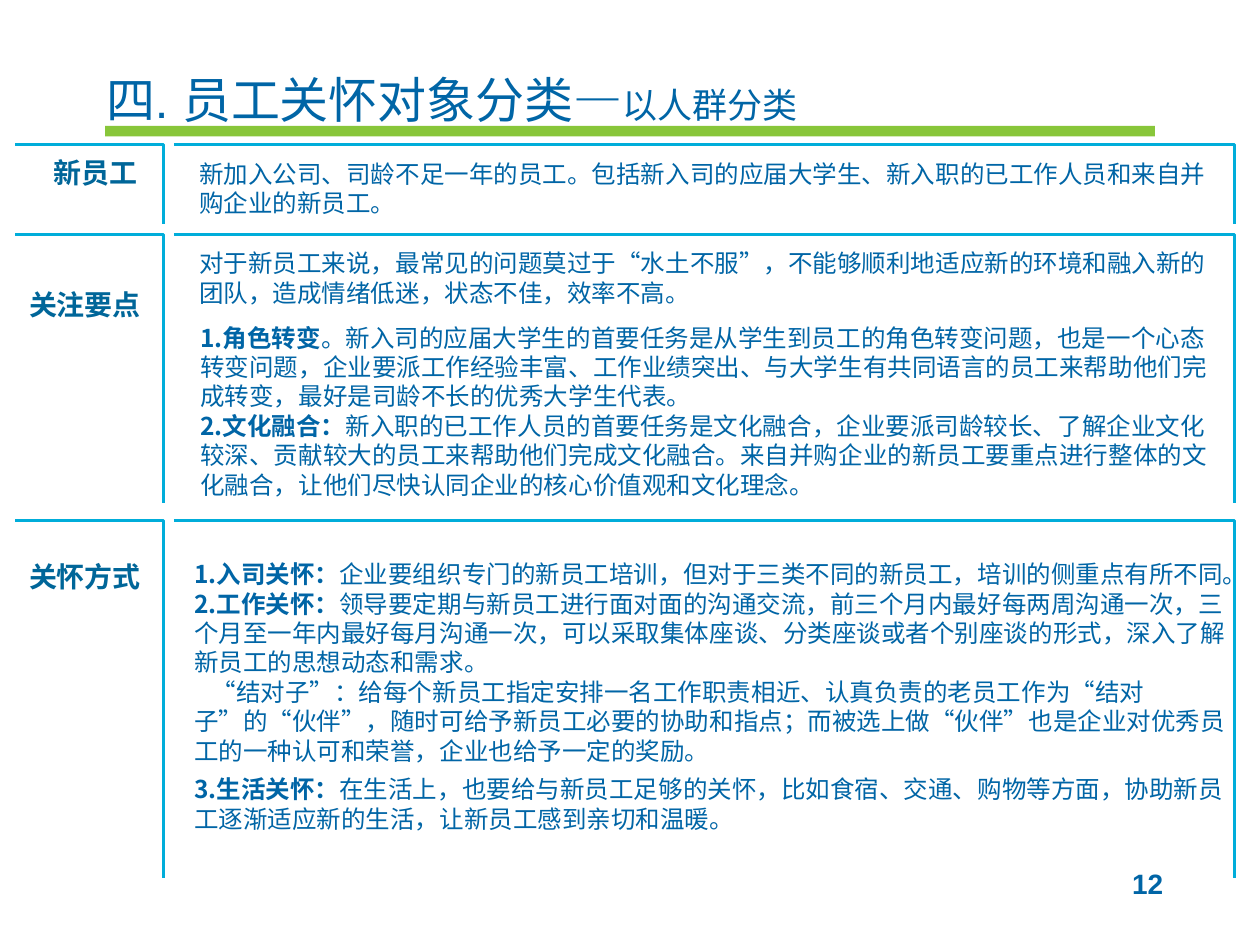
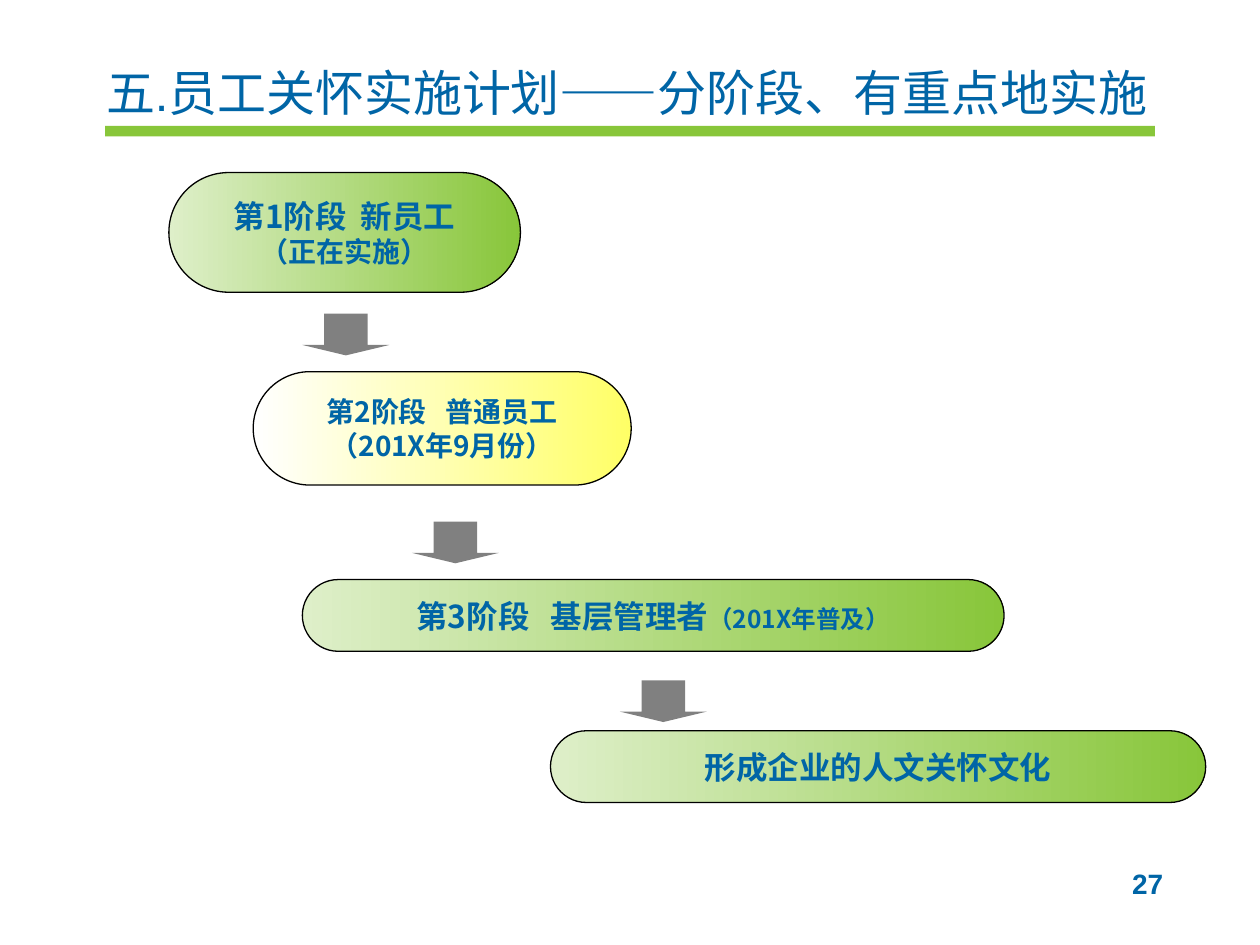
from pptx import Presentation
from pptx import util as u
from pptx.dml.color import RGBColor
from pptx.enum import shapes, text
from pptx.oxml.ns import qn
from lxml import etree

Pt = u.Pt
BLUE, LABEL_BLUE, CYAN = "0065A6", "006699", "00ADDA"
GREEN, PALE_GREEN, YELLOW, WHITE = "88C63A", "DEEFC9", "FFFF66", "FFFFFF"
GREY, BLACK = "808080", "000000"
CJK = "Noto Sans CJK SC"
LEFT, CENTER, RIGHT = text.PP_ALIGN.LEFT, text.PP_ALIGN.CENTER, text.PP_ALIGN.RIGHT
TOP, MIDDLE = text.MSO_ANCHOR.TOP, text.MSO_ANCHOR.MIDDLE


def rgb(value):
    return RGBColor.from_string(value)


def run(words, size=14, bold=False, font=CJK, color=BLUE, spacing=0):
    """Describe one run; spacing is extra letter spacing in points."""
    return dict(words=words, size=size, bold=bold, font=font, color=color, spacing=spacing)


def para(*runs, before=0, indent=0):
    return dict(runs=runs, before=before, indent=indent)


def item(heading, body, before=0):
    return para(run(heading, bold=True), run(body), before=before)


class Deck:
    """Holds the shared style and the slide being drawn."""

    def __init__(self):
        self.presentation = Presentation()
        self.presentation.slide_width = Pt(720)
        self.presentation.slide_height = Pt(540)
        self.slide = None

    def new_slide(self, title_runs, title_top, number):
        self.slide = self.presentation.slides.add_slide(self.presentation.slide_layouts[6])
        band = self.shape(shapes.MSO_SHAPE.RECTANGLE, 60, 72, 600, 6)
        self.solid(band, GREEN)
        self.text_box([para(*title_runs)], 60.6, title_top, 640, 49.7)
        self.text_box([para(run(number, 16, True, "Arial"))], 511, 495.4, 153.6, 20, RIGHT, TOP)

    def shape(self, kind, left, top, width, height):
        shape = self.slide.shapes.add_shape(kind, Pt(left), Pt(top), Pt(width), Pt(height))
        shape.shadow.inherit = False
        return shape

    def solid(self, shape, color):
        shape.fill.solid()
        shape.fill.fore_color.rgb = rgb(color)
        shape.line.fill.background()

    def add_text(self, frame, paragraphs, align, anchor):
        frame.word_wrap = True
        frame.vertical_anchor = anchor
        for index, content in enumerate(paragraphs):
            paragraph = frame.add_paragraph() if index else frame.paragraphs[0]
            paragraph.alignment = align
            paragraph.space_before = Pt(content["before"])
            if content["indent"]:
                paragraph._p.get_or_add_pPr().set("indent", str(Pt(content["indent"])))
            for part in content["runs"]:
                self.add_run(paragraph, part)

    def add_run(self, paragraph, part):
        piece = paragraph.add_run()
        piece.text = part["words"]
        font = piece.font
        font.size, font.bold, font.name = Pt(part["size"]), part["bold"], part["font"]
        font.color.rgb = rgb(part["color"])
        properties = piece._r.get_or_add_rPr()
        east_asian = etree.SubElement(properties, qn("a:ea"))
        east_asian.set("typeface", CJK)
        if part["spacing"]:
            properties.set("spc", str(round(part["spacing"] * 100)))

    def text_box(self, paragraphs, left, top, width, height, align=LEFT, anchor=MIDDLE):
        box = self.slide.shapes.add_textbox(Pt(left), Pt(top), Pt(width), Pt(height))
        frame = box.text_frame
        frame.margin_left = frame.margin_right = frame.margin_top = frame.margin_bottom = 0
        self.add_text(frame, paragraphs, align, anchor)

    def bracket(self, left, right, top, bottom):
        """Draw an open corner: along the top, then down the right side."""
        builder = self.slide.shapes.build_freeform(Pt(left), Pt(top))
        builder.add_line_segments([(Pt(right), Pt(top)), (Pt(right), Pt(bottom))], close=False)
        corner = builder.convert_to_shape()
        corner.shadow.inherit = False
        corner.fill.background()
        corner.line.color.rgb = rgb(CYAN)
        corner.line.width = Pt(1.75)

    def label(self, words, top, align=LEFT):
        label_run = run(words, 16, True, color=LABEL_BLUE)
        self.text_box([para(label_run)], 16.6, top, 75.6, 19.4, align)

    def pill(self, paragraphs, left, top, width, height, colors=(PALE_GREEN, GREEN)):
        pill = self.shape(shapes.MSO_SHAPE.ROUNDED_RECTANGLE, left, top, width, height)
        pill.adjustments[0] = 0.5
        pill.fill.gradient()
        pill.fill.gradient_angle = 0
        for stop, color, position in zip(pill.fill.gradient_stops, colors, (0, 1)):
            stop.color.rgb = rgb(color)
            stop.position = position
        pill.line.color.rgb = rgb(BLACK)
        pill.line.width = Pt(0.75)
        self.add_text(pill.text_frame, paragraphs, CENTER, MIDDLE)

    def down_arrow(self, left, top):
        arrow = self.shape(shapes.MSO_SHAPE.DOWN_ARROW, left, top, 49.7, 23.8)
        arrow.adjustments[0], arrow.adjustments[1] = 0.5, 0.25
        self.solid(arrow, GREY)


def new_employee_slide(deck):
    deck.new_slide([run("四. 员工关怀对象分类—", 28, font="Arial"),
                    run("以人群分类", 20, font="Arial")], 31.7, "12")
    for top, bottom in ((82.8, 128.2), (133.9, 287.3), (297.4, 501.8)):
        deck.bracket(8.6, 93.6, top, bottom)
        deck.bracket(99.4, 705.6, top, bottom)
    deck.label("新员工", 88.6, CENTER)
    deck.label("关注要点", 164.2)
    deck.label("关怀方式", 319.7)

    definition = [para(run("新加入公司、司龄不足一年的员工。包括新入司的应届大学生、新入职的已工作人员"
                           "和来自并购企业的新员工。"))]
    problem = [para(run("对于新员工来说，最常见的问题莫过于“水土不服”，不能够顺利地适应新的环境和"
                        "融入新的团队，造成情绪低迷，状态不佳，效率不高。"))]
    focus = [
        item("1.角色转变", "。新入司的应届大学生的首要任务是从学生到员工的角色转变问题，也是一个"
             "心态转变问题，企业要派工作经验丰富、工作业绩突出、与大学生有共同语言的员工来帮助他们"
             "完成转变，最好是司龄不长的优秀大学生代表。"),
        item("2.文化融合：", "新入职的已工作人员的首要任务是文化融合，企业要派司龄较长、了解企业"
             "文化较深、贡献较大的员工来帮助他们完成文化融合。来自并购企业的新员工要重点进行整体的"
             "文化融合，让他们尽快认同企业的核心价值观和文化理念。"),
    ]
    care = [
        item("1.入司关怀：", "企业要组织专门的新员工培训，但对于三类不同的新员工，培训的侧重点"
             "有所不同。"),
        item("2.工作关怀：", "领导要定期与新员工进行面对面的沟通交流，前三个月内最好每两周沟通"
             "一次，三个月至一年内最好每月沟通一次，可以采取集体座谈、分类座谈或者个别座谈的形式，"
             "深入了解新员工的思想动态和需求。"),
        para(run("“结对子”：给每个新员工指定安排一名工作职责相近、认真负责的老员工作为“结对子”的"
                 "“伙伴”，随时可给予新员工必要的协助和指点；而被选上做“伙伴”也是企业对优秀员工的"
                 "一种认可和荣誉，企业也给予一定的奖励。"), indent=10),
        item("3.生活关怀：", "在生活上，也要给与新员工足够的关怀，比如食宿、交通、购物等方面，"
             "协助新员工逐渐适应新的生活，让新员工感到亲切和温暖。", before=5.2),
    ]
    deck.text_box(definition, 113.8, 90.7, 586.8, 33.8)
    deck.text_box(problem, 113.8, 141.8, 586.8, 33.8)
    deck.text_box(focus, 114.5, 184.3, 584.6, 100.8)
    deck.text_box(care, 110.9, 311, 589.7, 173.5)


def stage_runs(stage, group, size, gap):
    """Stage and group in bold, kept apart by one widened space."""
    return (run(stage, size, True), run(" ", size, True, spacing=gap), run(group, size, True))


def plan_slide(deck):
    deck.new_slide([run("五.员工关怀实施计划——分阶段、有重点地实施", 28, font="Arial")], 27.4, "27")
    deck.pill([para(*stage_runs("第1阶段", "新员工", 18, 4)),
               para(run("（正在实施）", 16, True))], 96.5, 98.6, 200.9, 68.4)
    deck.pill([para(*stage_runs("第2阶段", "普通员工", 16, 7.2)),
               para(run("（201X年9月份）", 16, True))], 144.7, 212.4, 216, 64.8, (WHITE, YELLOW))
    deck.pill([para(*stage_runs("第3阶段", "基层管理者", 18, 8),
                    run("（201X年普及）", 14, True))], 172.8, 331.2, 401, 41)
    deck.pill([para(run("形成企业的人文关怀文化", 18, True, "DejaVu Sans"))],
              314.6, 417.6, 374.4, 41)
    for left, top in ((172.8, 179.3), (235.4, 298.1), (354.2, 388.8)):
        deck.down_arrow(left, top)


def main():
    deck = Deck()
    new_employee_slide(deck)
    plan_slide(deck)
    deck.presentation.save("out.pptx")


if __name__ == "__main__":
    main()
